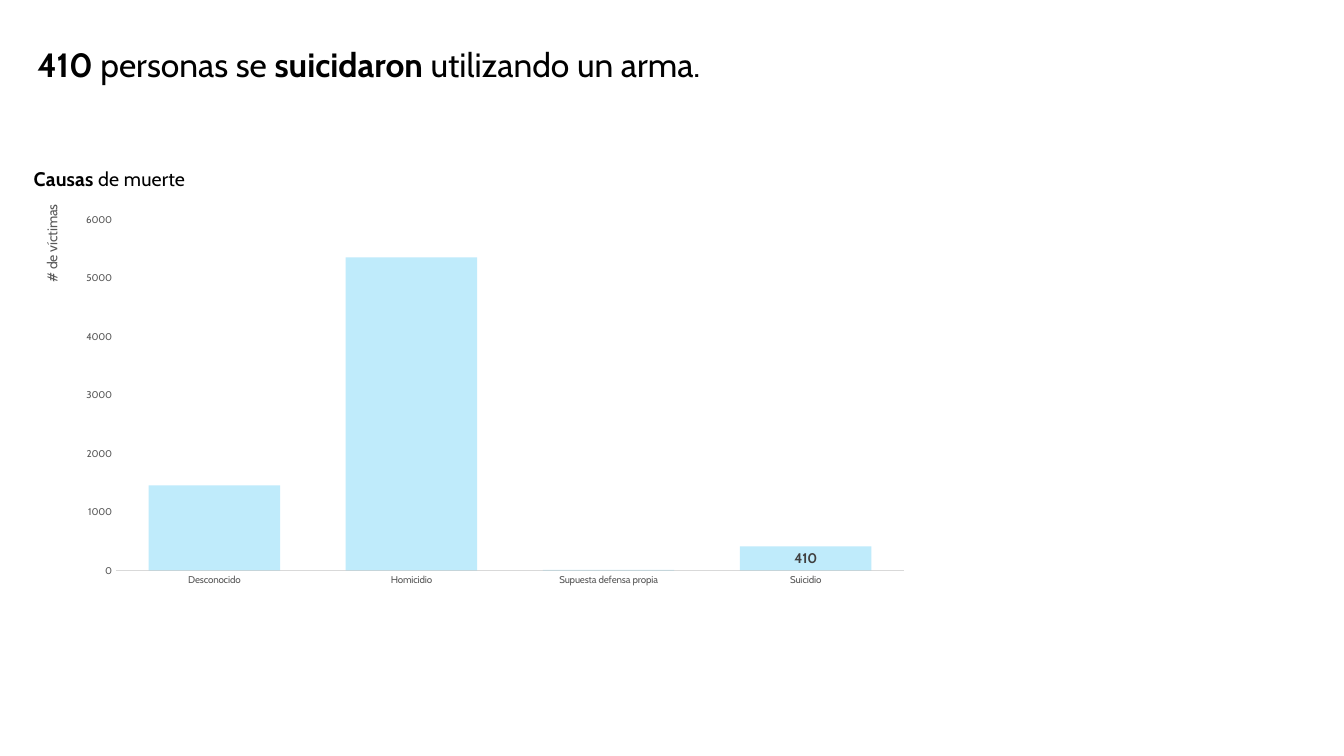
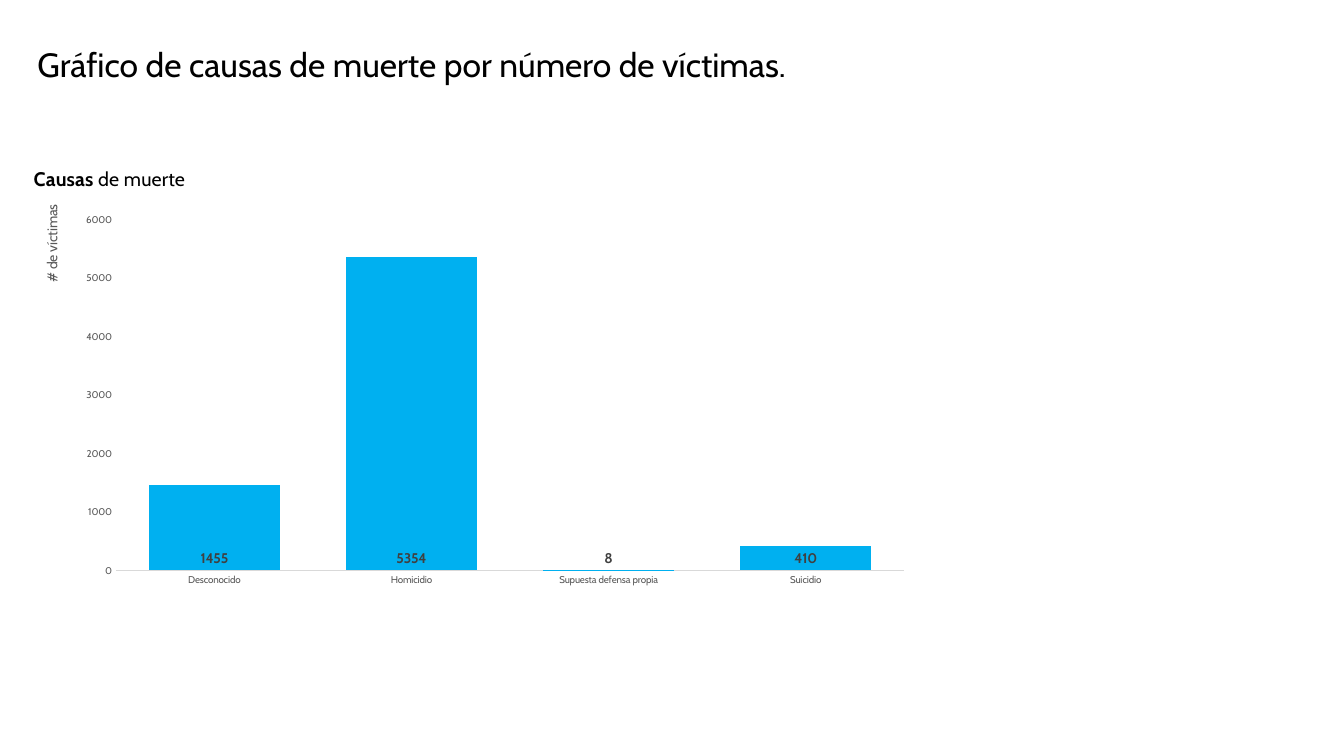
from dataclasses import dataclass

from lxml.etree import SubElement
from pptx import Presentation
from pptx.chart.data import CategoryChartData
from pptx.dml.color import RGBColor as RGB
from pptx.enum.chart import XL_CHART_TYPE as Chart
from pptx.enum.chart import XL_LABEL_POSITION as LabelPos
from pptx.enum.chart import XL_TICK_MARK as Tick
from pptx.enum.text import MSO_ANCHOR as Anchor
from pptx.enum.text import MSO_AUTO_SIZE as AutoSize
from pptx.enum.text import PP_ALIGN as Align
from pptx.oxml.ns import qn
from pptx.util import Cm, Pt


@dataclass(frozen=True)
class Theme:
    font: str = "Cabin"
    text: RGB = RGB(0x00, 0x00, 0x00)
    axis_text: RGB = RGB(0x59, 0x59, 0x59)
    label: RGB = RGB(0x40, 0x40, 0x40)
    axis_line: RGB = RGB(0xD9, 0xD9, 0xD9)
    bar: RGB = RGB(0x00, 0xB0, 0xF0)
    title_size: int = 24
    chart_title_size: int = 14
    body_size: int = 10
    tick_size: int = 7


THEME = Theme()
TITLE_BOX = (Cm(0.69), Cm(0.99), Cm(22.58), Cm(1.27))
CHART_BOX = (Cm(0.66), Cm(3.99), Cm(22.58), Cm(11.05))
CAUSES = {
    "Desconocido": 1455,
    "Homicidio": 5354,
    "Supuesta defensa propia": 8,
    "Suicidio": 410,
}
CHART_TITLE = [("Causas", True), (" de muerte", False)]
AXIS_TITLE = [("# de víctimas", False)]


def set_attrs(obj, values):
    for name, value in values.items():
        setattr(obj, name, value)


def set_font(font, size, color, bold=False):
    set_attrs(font, {"name": THEME.font, "size": Pt(size), "bold": bold})
    font.color.rgb = color


def write_runs(tf, runs, size, color):
    p = tf.paragraphs[0]
    for text, bold in runs:
        r = p.add_run()
        r.text = text
        set_font(r.font, size, color, bold)
    return p


def set_layout(parent, after, **fractions):
    for old in parent.findall(qn("c:layout")):
        parent.remove(old)
    layout = SubElement(parent, qn("c:layout"))
    manual = SubElement(layout, qn("c:manualLayout"))
    if "w" in fractions:
        SubElement(manual, qn("c:layoutTarget")).set("val", "inner")
    for axis in "xy":
        SubElement(manual, qn(f"c:{axis}Mode")).set("val", "edge")
    for name, value in fractions.items():
        SubElement(manual, qn(f"c:{name}")).set("val", str(value))
    if after is None:
        parent.insert(0, layout)
    else:
        after.addnext(layout)


def place_title(title, x, y):
    el = title._element
    set_layout(el, el.find(qn("c:tx")), x=x, y=y)


def add_title(s, runs):
    sp = s.shapes.title
    set_attrs(sp, dict(zip(("left", "top", "width", "height"), TITLE_BOX)))
    tf = sp.text_frame
    set_attrs(tf, {"word_wrap": True, "auto_size": AutoSize.NONE,
                   "vertical_anchor": Anchor.MIDDLE})
    write_runs(tf, runs, THEME.title_size, THEME.text).alignment = Align.LEFT


def format_axes(chart):
    for axis in (chart.category_axis, chart.value_axis):
        set_attrs(axis, {"major_tick_mark": Tick.NONE,
                         "minor_tick_mark": Tick.NONE,
                         "has_major_gridlines": False})
        set_font(axis.tick_labels.font, THEME.tick_size, THEME.axis_text)
    line = chart.category_axis.format.line
    line.color.rgb = THEME.axis_line
    line.width = Pt(0.75)

    values = chart.value_axis
    set_attrs(values, {"minimum_scale": 0, "maximum_scale": 6000,
                       "major_unit": 1000})
    values.format.line.fill.background()
    title = values.axis_title
    tf = title.text_frame
    write_runs(tf, AXIS_TITLE, THEME.body_size, THEME.axis_text)
    body = tf._txBody.find(qn("a:bodyPr"))
    body.set("rot", "-5400000")
    body.set("vert", "horz")
    place_title(title, 0.015, 0.1)


def format_bars(series, alpha):
    fill = series.format.fill
    fill.solid()
    fill.fore_color.rgb = THEME.bar
    if alpha < 100:
        color = series._element.find(f".//{qn('a:srgbClr')}")
        SubElement(color, qn("a:alpha")).set("val", str(alpha * 1000))


def format_labels(series, only):
    labels = series.data_labels
    labels.show_value = only is None
    target = labels if only is None else series.points[only].data_label
    set_font(target.font, THEME.body_size, THEME.label, True)
    target.position = LabelPos.INSIDE_BASE


def add_causes_chart(s, alpha, only):
    data = CategoryChartData()
    data.categories = list(CAUSES)
    data.add_series("Series 1", list(CAUSES.values()))
    chart = s.shapes.add_chart(Chart.COLUMN_CLUSTERED, *CHART_BOX, data).chart
    set_attrs(chart, {"has_legend": False, "has_title": True})
    set_font(chart.font, THEME.body_size, THEME.text)
    title = chart.chart_title
    write_runs(title.text_frame, CHART_TITLE, THEME.chart_title_size, THEME.text)
    place_title(title, 0.005, 0.01)
    format_axes(chart)

    plot = chart.plots[0]
    set_attrs(plot, {"gap_width": 50, "overlap": -27,
                     "vary_by_categories": False})
    series = plot.series[0]
    format_bars(series, alpha)
    format_labels(series, only)
    area = chart._chartSpace.find(f".//{qn('c:plotArea')}")
    set_layout(area, None, x=0.1, y=0.14, w=0.88, h=0.8)


def add_slide(prs, title, alpha=100, only=None):
    s = prs.slides.add_slide(prs.slide_layouts[5])
    add_title(s, title)
    add_causes_chart(s, alpha, only)


def main():
    prs = Presentation()
    set_attrs(prs, {"slide_width": Cm(33.87), "slide_height": Cm(19.05)})
    add_slide(prs, [("410", True), (" personas se ", False),
                    ("suicidaron ", True), ("utilizando un arma.", False)],
              alpha=25, only=list(CAUSES).index("Suicidio"))
    add_slide(prs, [("Gráfico de causas de muerte por número de víctimas.",
                     False)])
    prs.save("out.pptx")


if __name__ == "__main__":
    main()
